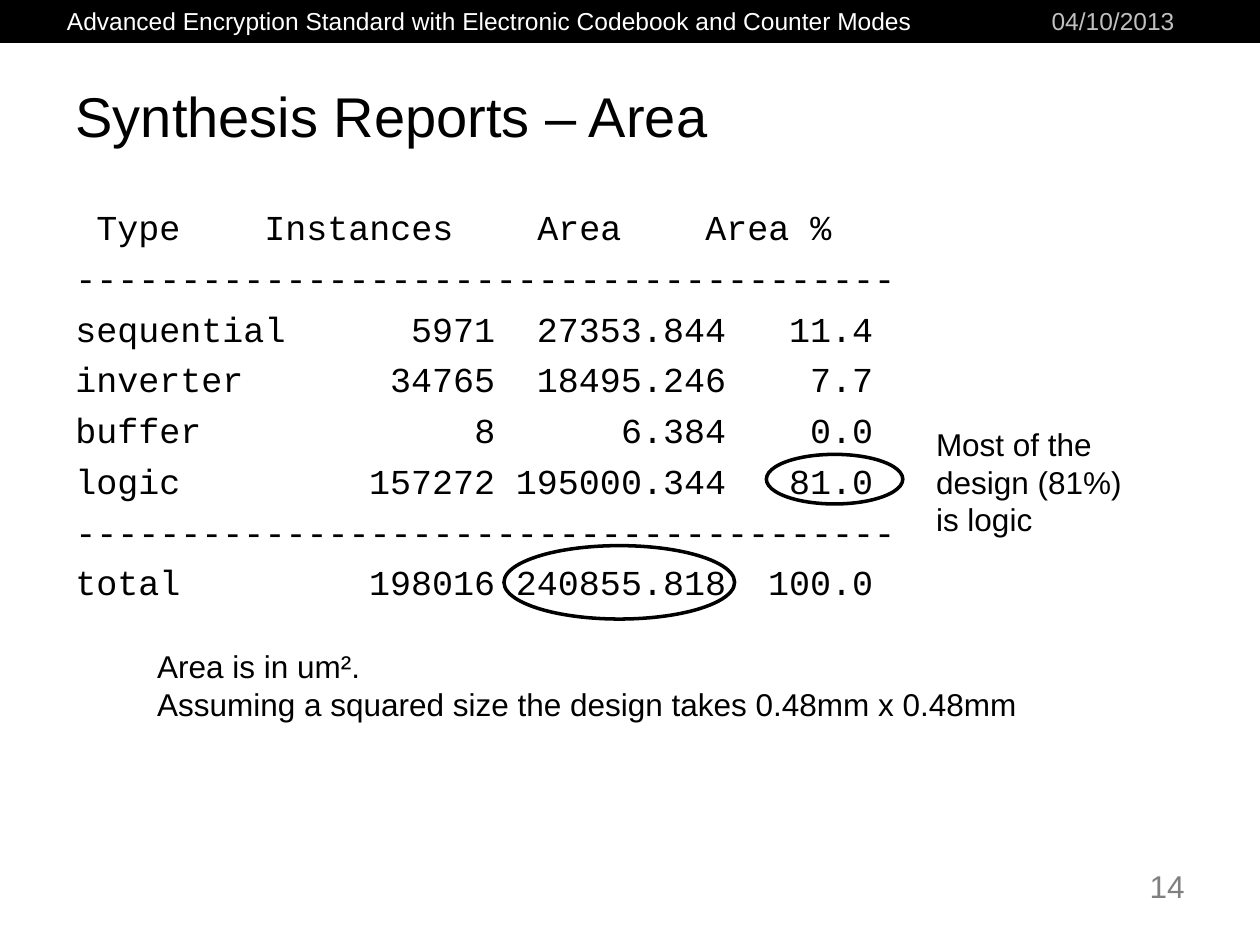
from dataclasses import dataclass

from lxml.etree import SubElement
from pptx import Presentation
from pptx.dml.color import RGBColor
from pptx.enum.shapes import MSO_SHAPE
from pptx.enum.text import MSO_ANCHOR, PP_ALIGN
from pptx.oxml.ns import qn
from pptx.util import Cm, Pt


@dataclass(frozen=True)
class Theme:
    sans: str = "Arial"
    mono: str = "Courier New"
    ink: str = "000000"
    paper: str = "FFFFFF"
    date: str = "C0C0C0"
    number: str = "808080"
    title_size: int = 32
    report_size: int = 20
    note_size: int = 18
    header_size: int = 14
    row_gap: int = 5


THEME = Theme()

TITLE = "Synthesis Reports – Area"
HEADINGS = ("Type", "Instances", "Area", "Area %")
ROWS = [
    ("sequential", "5971", "27353.844", "11.4"),
    ("inverter", "34765", "18495.246", "7.7"),
    ("buffer", "8", "6.384", "0.0"),
    ("logic", "157272", "195000.344", "81.0"),
]
TOTAL = ("total", "198016", "240855.818", "100.0")

# Tab stops of the report, counted in characters
HEADING_STOPS = (1, 9, 22, 30)
VALUE_STOPS = (20, 31, 38)
RULE = "-" * 39
CHAR_WIDTH = Pt(0.6 * THEME.report_size)

# left, top, width, height in cm
BAR = (0, 0, 25.4, 0.85)
TITLE_BOX = (1.27, 1.27, 22.86, 2.11)
REPORT_BOX = (1.27, 4.02, 22.86, 12.7)
RINGS = [(15.45, 9.16, 2.75, 1), (10.16, 11, 4.65, 1.48)]

# lines, box, size, colour, alignment, wrap
TEXTS = [
    (["Advanced Encryption Standard with Electronic Codebook and Counter Modes"],
     (1.1, 0, 17.55, 0.86), THEME.header_size, THEME.paper, PP_ALIGN.LEFT, False),
    (["04/10/2013"],
     (20.95, 0, 3.18, 0.64), THEME.header_size, THEME.date, PP_ALIGN.LEFT, True),
    (["Most of the design (81%) is logic"],
     (18.62, 8.44, 4.65, 2.54), THEME.note_size, THEME.ink, PP_ALIGN.LEFT, True),
    (["Area is in um².", "Assuming a squared size the design takes 0.48mm x 0.48mm"],
     (2.92, 12.92, 17.83, 1.78), THEME.note_size, THEME.ink, PP_ALIGN.LEFT, False),
    (["14"],
     (21.59, 17.35, 2.54, 1.12), THEME.note_size, THEME.number, PP_ALIGN.RIGHT, True),
]


def style(p, font, size, color, align=PP_ALIGN.LEFT):
    p.alignment = align
    for r in p.runs:
        r.font.name = font
        r.font.size = Pt(size)
        r.font.color.rgb = RGBColor.from_string(color)


def set_columns(p, stops, align):
    """Set tab stops at character positions."""
    tabs = SubElement(p._p.get_or_add_pPr(), qn("a:tabLst"))
    for stop in stops:
        SubElement(tabs, qn("a:tab"), pos=str(stop * CHAR_WIDTH), algn=align)


def add_shape(s, kind, box, line_width, fill=None):
    sp = s.shapes.add_shape(kind, *map(Cm, box))
    sp.shadow.inherit = False
    if fill:
        sp.fill.solid()
        sp.fill.fore_color.rgb = RGBColor.from_string(fill)
    else:
        sp.fill.background()
    sp.line.color.rgb = RGBColor.from_string(THEME.ink)
    sp.line.width = Pt(line_width)


def add_lines(s, lines, box, wrap=True):
    tf = s.shapes.add_textbox(*map(Cm, box)).text_frame
    tf.word_wrap = wrap
    tf.text = "\n".join(lines)
    return tf.paragraphs


def add_text(s, lines, box, size, color, align, wrap):
    for p in add_lines(s, lines, box, wrap):
        style(p, THEME.sans, size, color, align)


def fill_title(title):
    title.left, title.top, title.width, title.height = map(Cm, TITLE_BOX)
    tf = title.text_frame
    tf.text = TITLE
    tf.vertical_anchor = MSO_ANCHOR.MIDDLE
    style(tf.paragraphs[0], THEME.sans, THEME.title_size, THEME.ink)


def add_report(s):
    heading = "\t" + "\t".join(HEADINGS)
    values = ["\t".join(row) for row in ROWS]
    lines = [heading, RULE, *values, RULE, "\t".join(TOTAL)]
    for i, p in enumerate(add_lines(s, lines, REPORT_BOX)):
        style(p, THEME.mono, THEME.report_size, THEME.ink)
        p.space_before = Pt(THEME.row_gap)
        if i == 0:
            set_columns(p, HEADING_STOPS, "l")
        else:
            set_columns(p, VALUE_STOPS, "r")


def main():
    prs = Presentation()
    prs.slide_width, prs.slide_height = Cm(25.4), Cm(19.05)
    s = prs.slides.add_slide(prs.slide_layouts[5])
    fill_title(s.shapes.title)
    add_report(s)
    add_shape(s, MSO_SHAPE.RECTANGLE, BAR, 0.75, THEME.ink)
    for ring in RINGS:
        add_shape(s, MSO_SHAPE.OVAL, ring, 2)
    for text in TEXTS:
        add_text(s, *text)
    prs.save("out.pptx")


if __name__ == "__main__":
    main()
